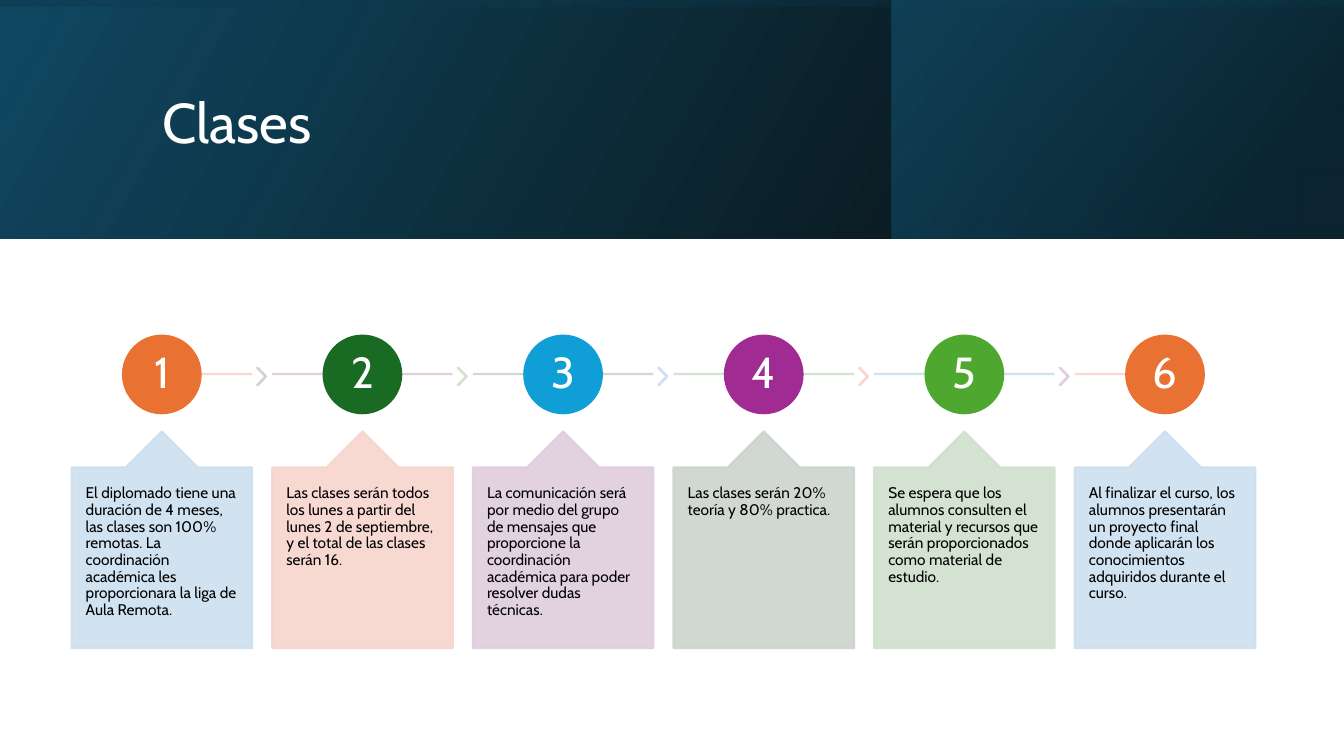
import pptx
import pptx.util
import pptx.dml.color
import pptx.enum.shapes
import pptx.enum.text
import pptx.oxml
import pptx.oxml.ns
from dataclasses import dataclass

Inches = pptx.util.Inches
Pt = pptx.util.Pt
RGBColor = pptx.dml.color.RGBColor
MSO_SHAPE = pptx.enum.shapes.MSO_SHAPE
MSO_ANCHOR = pptx.enum.text.MSO_ANCHOR
PP_ALIGN = pptx.enum.text.PP_ALIGN
qn = pptx.oxml.ns.qn


@dataclass(frozen=True)
class Theme:
    font: str = "Cabin"
    title_size: int = 40
    number_size: int = 31
    body_size: int = 11
    line_width: float = 1.5
    tint_alpha: int = 90
    light: str = "FFFFFF"
    dark: str = "000000"
    accents: tuple = ("E97132", "196B24", "0F9ED5", "A02B93", "4EA72E")
    tints: tuple = ("CCDFEF", "F7D5CE", "DFCDDC", "CCD4CD", "D0E1CD")
    banner: tuple = ((0, "000000", 96), (100, "104862", 100))
    corner: tuple = ((19, "0B3041", 68), (100, "156082", 48))
    shade: tuple = ((23, "104862", 16), (99, "000000", 45))


THEME = Theme()

CLASSES = [
    "El diplomado tiene una duración de 4 meses, las clases son 100% remotas. "
    "La coordinación académica les proporcionara la liga de Aula Remota.",
    "Las clases serán todos los lunes a partir del lunes 2 de septiembre, "
    "y el total de las clases serán 16.",
    "La comunicación será por medio del grupo de mensajes que proporcione la "
    "coordinación académica para poder resolver dudas técnicas.",
    "Las clases serán 20% teoría y 80% practica.",
    "Se espera que los alumnos consulten el material y recursos que serán "
    "proporcionados como material de estudio.",
    "Al finalizar el curso, los alumnos presentarán un proyecto final donde "
    "aplicarán los conocimientos adquiridos durante el curso.",
]


def write_text(sp, text, size, color, align=PP_ALIGN.LEFT,
               anchor=MSO_ANCHOR.MIDDLE, inset=(0.1, 0.05)):
    tf = sp.text_frame
    tf.word_wrap = True
    tf.vertical_anchor = anchor
    tf.margin_left = tf.margin_right = Inches(inset[0])
    tf.margin_top = tf.margin_bottom = Inches(inset[1])
    p = tf.paragraphs[0]
    p.alignment = align
    p.line_spacing = 0.9
    r = p.add_run()
    r.text = text
    r.font.name = THEME.font
    r.font.size = Pt(size)
    r.font.color.rgb = RGBColor.from_string(color)


def set_alpha(sp, percent):
    for clr in sp._element.spPr.iter(qn("a:srgbClr")):
        alpha = clr.makeelement(qn("a:alpha"), {"val": str(percent * 1000)})
        clr.append(alpha)


def add_shape(slide, kind, box, color=None, alpha=100):
    sp = slide.shapes.add_shape(kind, *map(Inches, box))
    sp.shadow.inherit = False
    if color is None:
        sp.line.fill.background()
        return sp
    sp.fill.solid()
    sp.fill.fore_color.rgb = RGBColor.from_string(color)
    sp.line.color.rgb = RGBColor.from_string(color)
    sp.line.width = Pt(THEME.line_width)
    if alpha < 100:
        set_alpha(sp, alpha)
    return sp


def add_line(slide, x1, x2, y, color):
    ln = slide.shapes.add_connector(
        pptx.enum.shapes.MSO_CONNECTOR.STRAIGHT,
        Inches(x1), Inches(y), Inches(x2), Inches(y))
    ln.line.color.rgb = RGBColor.from_string(color)
    ln.line.width = Pt(THEME.line_width)
    set_alpha(ln, THEME.tint_alpha)
    spPr = ln._element.spPr
    spPr.append(spPr.makeelement(qn("a:effectLst"), {}))


def add_gradient(slide, box, stops, angle, flip=True):
    sp = add_shape(slide, MSO_SHAPE.RECTANGLE, box)
    sp.fill.gradient()
    spPr = sp._element.spPr
    if flip:
        spPr.find(qn("a:xfrm")).set("flipH", "1")
    marks = "".join(
        f'<a:gs pos="{pos * 1000}"><a:srgbClr val="{color}">'
        f'<a:alpha val="{alpha * 1000}"/></a:srgbClr></a:gs>'
        for pos, color, alpha in stops)
    grad = pptx.oxml.parse_xml(
        f'<a:gradFill {pptx.oxml.ns.nsdecls("a")} rotWithShape="1">'
        f'<a:gsLst>{marks}</a:gsLst>'
        f'<a:lin ang="{angle * 60000}" scaled="0"/></a:gradFill>')
    spPr.replace(spPr.find(qn("a:gradFill")), grad)


def build_banner(slide, x, y, w, h, title):
    add_gradient(slide, (x, y, w, h), THEME.banner, 330)
    add_gradient(slide, (x + 8.84, y, w - 8.84, h), THEME.corner, 320)
    add_gradient(slide, (x, y, w, h), THEME.shade, 100, flip=False)
    sp = slide.shapes.title
    sp.left, sp.top = Inches(x + 1.51), Inches(y + 0.38)
    sp.width, sp.height = Inches(10.63), Inches(1.72)
    write_text(sp, title, THEME.title_size, THEME.light)
    slide.shapes._spTree.append(sp._element)


def build_step(slide, x, y, w, h, i, text, last):
    tints = THEME.tints
    n = len(tints)
    mid, axis, d = x + w / 2, y + 0.38, 0.77
    add_line(slide, x if i else mid, mid if last else x + w, axis,
             tints[(i + 1) % n])
    if not last:
        sp = add_shape(slide, MSO_SHAPE.CHEVRON,
                       (x + w + 0.05, axis - 0.06, 0.09, 0.17),
                       tints[(i + 3) % n], THEME.tint_alpha)
        sp.adjustments[0] = 0.9
    sp = add_shape(slide, MSO_SHAPE.OVAL, (mid - d / 2, y, d, d),
                   THEME.accents[i % n])
    write_text(sp, str(i + 1), THEME.number_size, THEME.light,
               align=PP_ALIGN.CENTER, inset=(0.03, 0.03))
    sp = add_shape(slide, MSO_SHAPE.UP_ARROW_CALLOUT,
                   (x, y + 0.95, w, h - 0.95), tints[i % n],
                   THEME.tint_alpha)
    for k, value in enumerate((0.5, 0.2, 0.2, 1)):
        sp.adjustments[k] = value
    write_text(sp, text, THEME.body_size, THEME.dark,
               anchor=MSO_ANCHOR.TOP, inset=(0.14, 0.18))


def build_timeline(slide, x, y, w, h, texts):
    gap = 0.2
    step = (w + gap) / len(texts)
    for i, text in enumerate(texts):
        build_step(slide, x + i * step, y, step - gap, h, i, text,
                   last=i == len(texts) - 1)


def main():
    prs = pptx.Presentation()
    prs.slide_width, prs.slide_height = Inches(13.33), Inches(7.5)
    slide = prs.slides.add_slide(prs.slide_layouts[5])
    build_banner(slide, 0, 0, 13.33, 2.37, "Clases")
    build_timeline(slide, 0.71, 3.33, 11.74, 3.1, CLASSES)
    prs.save("out.pptx")


if __name__ == "__main__":
    main()
